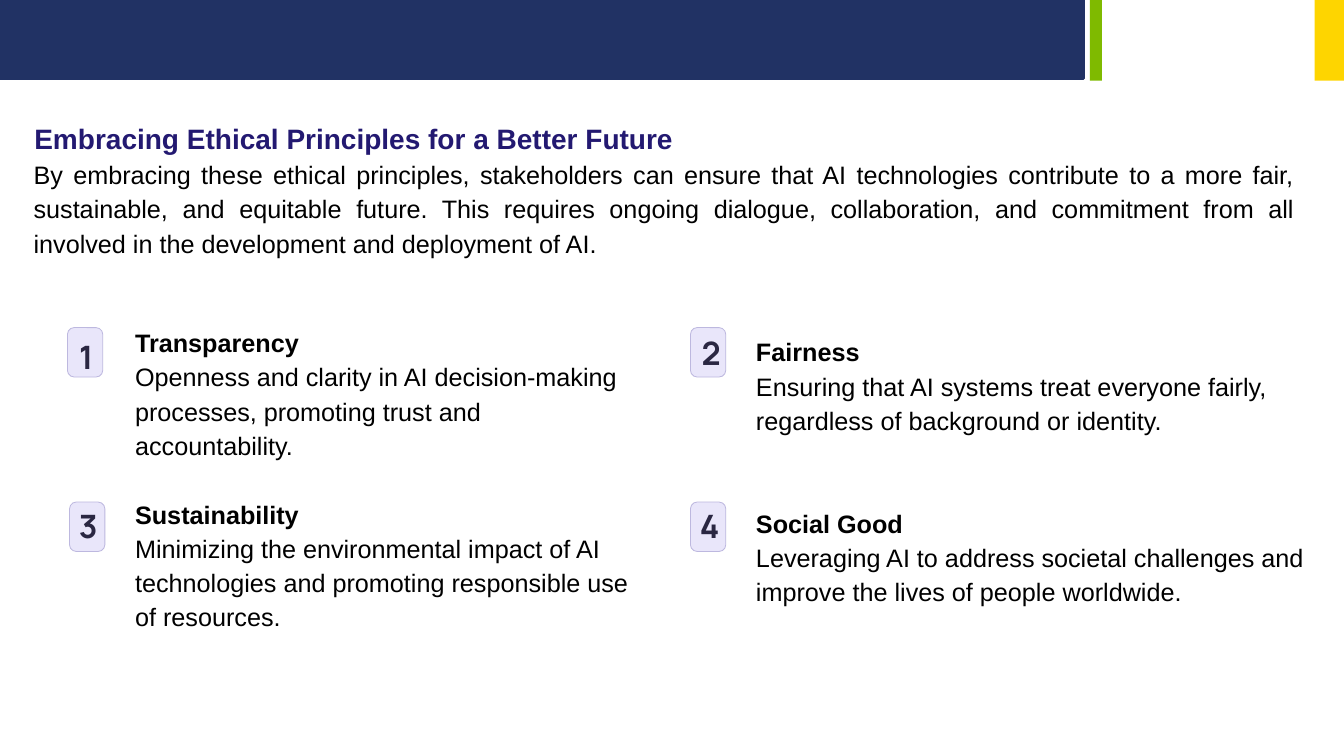
"""Build a slide on four ethical principles for AI."""
from lxml import etree
from pptx import Presentation
from pptx.dml.color import RGBColor
from pptx.enum import shapes, text
from pptx.oxml import ns
from pptx.util import Pt

TITLE = "Embracing Ethical Principles for a Better Future"
INTRO = (
    "By embracing these ethical principles, stakeholders can ensure that AI "
    "technologies contribute to a more fair, sustainable, and equitable future. "
    "This requires ongoing dialogue, collaboration, and commitment from all "
    "involved in the development and deployment of AI."
)
LEFT = [
    ("Transparency", "Openness and clarity in AI decision-making processes, "
     "promoting trust and accountability."),
    ("Sustainability", "Minimizing the environmental impact of AI technologies "
     "and promoting responsible use of resources."),
]
RIGHT = [
    ("Fairness", "Ensuring that AI systems treat everyone fairly, "
     "regardless of background or identity."),
    ("Social Good", "Leveraging AI to address societal challenges and "
     "improve the lives of people worldwide."),
]
COLUMNS = [
    (LEFT, (96.5, 231, 361, 233), 1),
    (RIGHT, (540, 237.6, 420, 235), 2),
]
BARS = [
    ((0, 0, 774, 56.3), "213264", 2),
    ((778.5, 0, 8.6, 57.6), "7FBA00", 0),
    ((939, 0, 21, 57.6), "FED500", 0),
]
BADGES = [
    ("1", 48.2, 234, 61.6, 245.5),
    ("2", 493.2, 234, 508, 242.6),
    ("3", 49.7, 358.6, 63, 366.5),
    ("4", 493.2, 358.6, 507, 366.5),
]
LEAD = 24.5
BODY = {"name": "Arial", "size": Pt(18), "bold": False}
BOLD = {**BODY, "bold": True}
HEAD = {**BOLD, "size": Pt(20)}
DIGIT = {"name": "Manrope", "size": Pt(23), "bold": True}


def tint(color, code):
    """Set a colour from a hex string."""
    color.rgb = RGBColor.from_string(code)


def place(item, box):
    """Move and size a shape in points."""
    for key, val in zip(("left", "top", "width", "height"), box):
        setattr(item, key, Pt(val))


def frame(item, inset=(0, 0), wrap=True):
    """Prepare the text frame of a shape."""
    body = item.text_frame
    form = {
        "auto_size": text.MSO_AUTO_SIZE.NONE,
        "vertical_anchor": text.MSO_ANCHOR.TOP,
        "word_wrap": wrap,
        "margin_left": Pt(inset[0]), "margin_right": Pt(inset[0]),
        "margin_top": Pt(inset[1]), "margin_bottom": Pt(inset[1]),
    }
    for key, val in form.items():
        setattr(body, key, val)
    return body


def write(para, words, font, code="000000", lead=LEAD, gap=0,
          align=text.PP_ALIGN.LEFT):
    """Fill one paragraph without a bullet."""
    props = para._p.get_or_add_pPr()
    props.set("marL", "0")
    props.set("indent", "0")
    etree.SubElement(props, ns.qn("a:buNone"))
    form = {"line_spacing": Pt(lead), "space_before": Pt(gap),
            "space_after": Pt(0), "alignment": align}
    for key, val in form.items():
        setattr(para, key, val)
    run = para.add_run()
    run.text = words
    for key, val in font.items():
        setattr(run.font, key, val)
    tint(run.font.color, code)


def block(slide, kind, box, fill, edge=None, width=0):
    """Draw a filled shape."""
    item = slide.shapes.add_shape(kind, *map(Pt, box))
    item.shadow.inherit = False
    item.fill.solid()
    tint(item.fill.fore_color, fill)
    if width:
        tint(item.line.color, edge)
        item.line.width = Pt(width)
    else:
        item.line.fill.background()
    return item


def main():
    """Compose and save the slide."""
    deck = Presentation()
    deck.slide_width, deck.slide_height = Pt(960), Pt(540)
    slide = deck.slides.add_slide(deck.slide_layouts[3])
    kinds = shapes.MSO_SHAPE

    for box, fill, width in BARS:
        block(slide, kinds.RECTANGLE, box, fill, fill, width)

    title = slide.shapes.title
    place(title, (17.3, 59, 754.6, 49))
    write(frame(title, (7.2, 3.6)).paragraphs[0], TITLE, HEAD, "231971", 48.5)

    intro = slide.shapes.add_textbox(*map(Pt, (24, 111, 900.5, 50)))
    write(frame(intro).paragraphs[0], INTRO, BODY,
          align=text.PP_ALIGN.JUSTIFY)

    for pos, (items, box, skip) in enumerate(COLUMNS, 1):
        holder = slide.placeholders[pos]
        place(holder, box)
        body = frame(holder)
        for row, (name, words) in enumerate(items):
            para = body.add_paragraph() if row else body.paragraphs[0]
            write(para, name, BOLD, gap=row * skip * LEAD)
            write(body.add_paragraph(), words, BODY)

    for mark, left, top, mid, high in BADGES:
        tile = block(slide, kinds.ROUNDED_RECTANGLE, (left, top, 25.2, 35.3),
                     "E9E6FA", "BDB8DF", 0.6)
        tile.adjustments[0] = 0.19
        label = slide.shapes.add_textbox(*map(Pt, (mid - 5, high, 10, 24)))
        write(frame(label, wrap=False).paragraphs[0], mark, DIGIT, "2A2742",
              23, align=text.PP_ALIGN.CENTER)

    deck.save("out.pptx")


if __name__ == "__main__":
    main()
